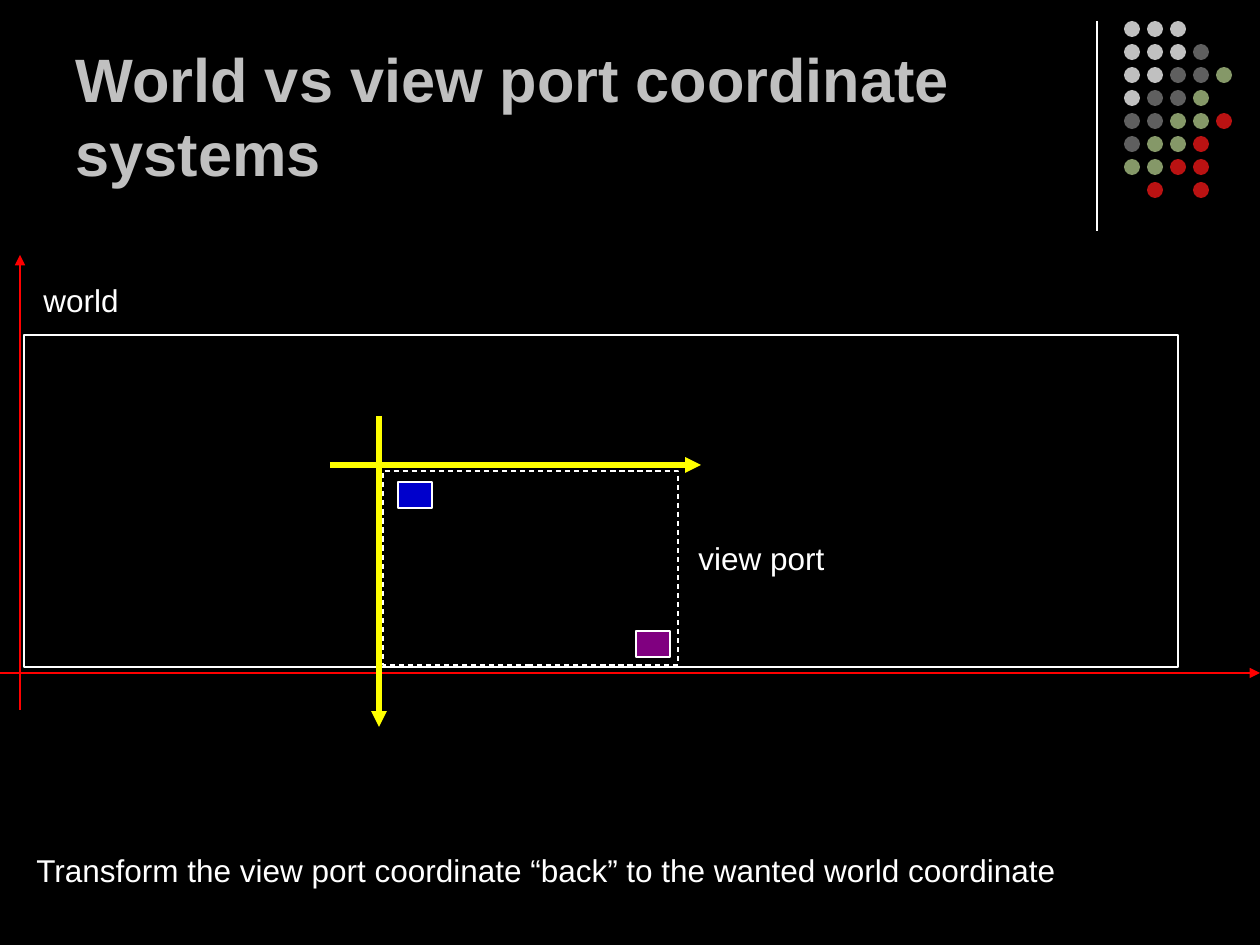
from lxml.etree import SubElement
from pptx import Presentation
from pptx.dml.color import RGBColor
from pptx.enum.dml import MSO_LINE
from pptx.enum.shapes import MSO_CONNECTOR, MSO_SHAPE
from pptx.enum.text import MSO_ANCHOR, MSO_AUTO_SIZE, PP_ALIGN
from pptx.oxml.ns import qn
from pptx.util import Emu, Pt

PX_PER_INCH = 126
FONT = "Arial"
COLORS = {
    "black": "000000",
    "white": "FFFFFF",
    "silver": "C0C0C0",
    "gray": "5F5F5F",
    "sage": "859868",
    "crimson": "BA1212",
    "red": "FF0000",
    "yellow": "FFFF00",
    "blue": "0000CC",
    "purple": "800080",
}
DOT_COLORS = {"s": "silver", "g": "gray", "v": "sage", "r": "crimson"}
DOT_ROWS = ["sss", "sssg", "ssggv", "sggv", "ggvvr", "gvvr", "vvrr", " r r"]
DOT_LEFT, DOT_TOP, DOT_PITCH, DOT_SIZE = 1124, 21, 23, 16


def px(value):
    return Emu(round(value * 914400 / PX_PER_INCH))


def rgb(name):
    return RGBColor.from_string(COLORS[name])


class Canvas:
    def __init__(self, page):
        self.page = page
        page.background.fill.solid()
        page.background.fill.fore_color.rgb = rgb("black")

    def set_text(self, shape, text, size, color, bold=False):
        frame = shape.text_frame
        frame.text = text
        frame.word_wrap = True
        para = frame.paragraphs[0]
        para.alignment = PP_ALIGN.LEFT
        font = para.runs[0].font
        font.name = FONT
        font.size = Pt(size)
        font.bold = bold
        font.color.rgb = rgb(color)

    def title(self, text, left, top, width, height):
        title = self.page.shapes.title
        title.left, title.top = px(left), px(top)
        title.width, title.height = px(width), px(height)
        self.set_text(title, text, 35, "silver", bold=True)
        title.text_frame.auto_size = MSO_AUTO_SIZE.NONE
        title.text_frame.vertical_anchor = MSO_ANCHOR.BOTTOM

    def label(self, text, left, top, width):
        box = self.page.shapes.add_textbox(px(left), px(top), px(width), px(50))
        self.set_text(box, text, 18, "white")

    def shape(self, kind, left, top, width, height, fill=None, line=None, dash=None):
        shape = self.page.shapes.add_shape(kind, px(left), px(top), px(width), px(height))
        shape.shadow.inherit = False
        if fill:
            shape.fill.solid()
            shape.fill.fore_color.rgb = rgb(fill)
        else:
            shape.fill.background()
        if line:
            shape.line.color.rgb = rgb(line)
            shape.line.width = Pt(0.75)
            shape.line.dash_style = dash
        else:
            shape.line.fill.background()

    def rectangle(self, left, top, width, height, fill=None, dash=None):
        self.shape(MSO_SHAPE.RECTANGLE, left, top, width, height, fill, "white", dash)

    def dot(self, left, top, color):
        self.shape(MSO_SHAPE.OVAL, left, top, DOT_SIZE, DOT_SIZE, color)

    def line(self, x1, y1, x2, y2, color, weight=0.75, arrow=False):
        line = self.page.shapes.add_connector(
            MSO_CONNECTOR.STRAIGHT, px(x1), px(y1), px(x2), px(y2))
        line.line.color.rgb = rgb(color)
        line.line.width = Pt(weight)
        properties = line._element.spPr
        if arrow:
            SubElement(properties.find(qn("a:ln")), qn("a:tailEnd"), type="triangle")
        SubElement(properties, qn("a:effectLst"))


def main():
    deck = Presentation()
    deck.slide_width, deck.slide_height = px(1260), px(945)
    canvas = Canvas(deck.slides.add_slide(deck.slide_layouts[5]))

    canvas.line(1097, 21, 1097, 231, "white")
    for row, marks in enumerate(DOT_ROWS):
        for column, mark in enumerate(marks):
            if mark in DOT_COLORS:
                canvas.dot(DOT_LEFT + column * DOT_PITCH,
                           DOT_TOP + row * DOT_PITCH, DOT_COLORS[mark])
    canvas.title("World vs view port coordinate systems", 63, 16, 1040, 179)

    canvas.rectangle(24, 335, 1154, 332)
    canvas.rectangle(383, 471, 295, 194, dash=MSO_LINE.DASH)
    canvas.line(20, 710, 20, 255, "red", arrow=True)
    canvas.line(0, 673, 1260, 673, "red", arrow=True)
    canvas.line(379, 416, 379, 727, "yellow", 3, arrow=True)
    canvas.line(330, 465, 701, 465, "yellow", 3, arrow=True)
    canvas.rectangle(398, 482, 34, 26, "blue")
    canvas.label("view port", 686, 533, 219)
    canvas.label("world", 31, 275, 219)
    canvas.label("Transform the view port coordinate “back” to the wanted world coordinate",
                 24, 845, 1208)
    canvas.rectangle(636, 631, 34, 26, "purple")

    deck.save("out.pptx")


if __name__ == "__main__":
    main()
